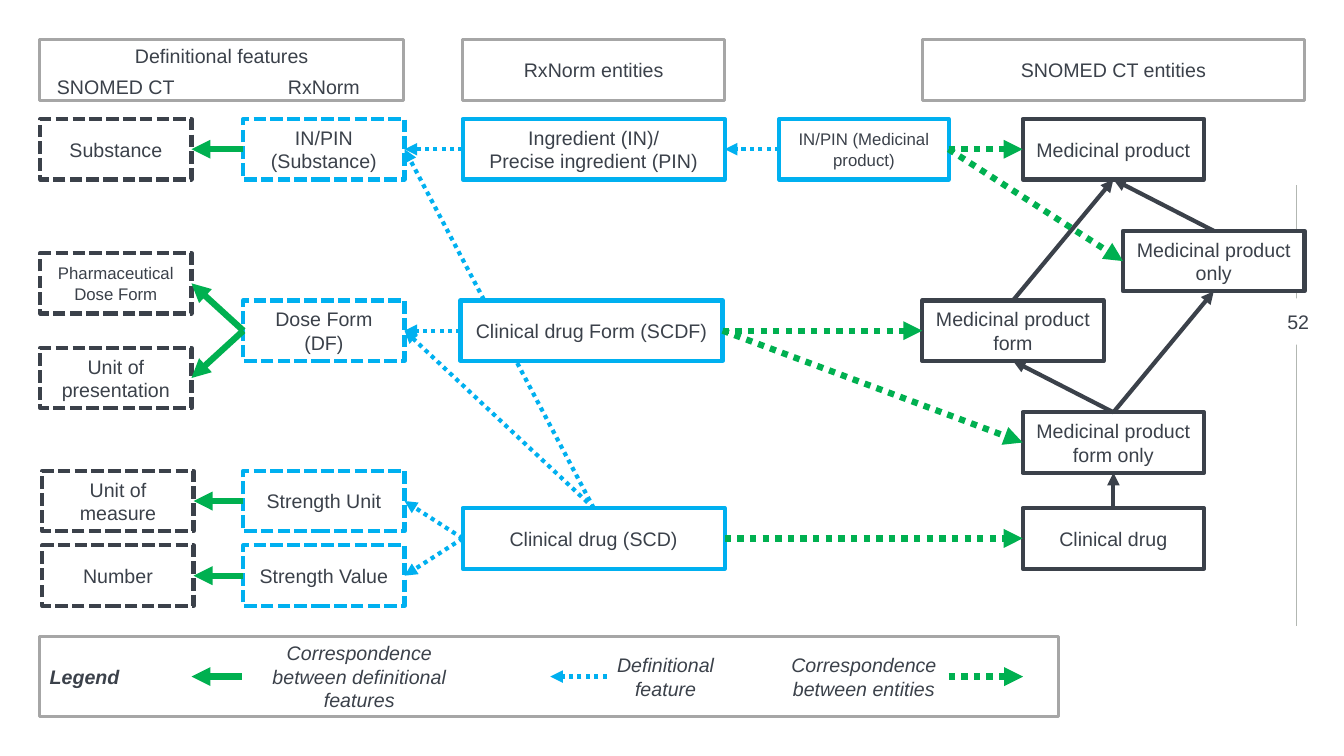
from pptx import Presentation
from pptx.dml.color import RGBColor
from pptx.enum import dml, shapes, text
from pptx.oxml.ns import qn
from pptx.util import Pt
from lxml import etree

HUES = {"ink": "3B414A", "blue": "00B0F0", "green": "00B050",
        "gray": "A6A6A6", "rule": "B2B7B2", "white": "FFFFFF"}
DASH = dml.MSO_LINE.SQUARE_DOT
DOT = dml.MSO_LINE.ROUND_DOT
TOP, LEFT, BASE, RIGHT = range(4)
TALL = 43.2
ROWS = {"first": 56.9, "form": 186.5, "drug": 334.9}


def rgb(name):
    """Return the named colour."""
    return RGBColor.from_string(HUES[name])


def box(slide, words, left, top, wide, tall=TALL, hue=None, dash=None, thick=3,
        size=14, bold=False, slant=False, fill="white",
        align=text.PP_ALIGN.CENTER, anchor=text.MSO_ANCHOR.MIDDLE):
    """Draw a rectangle holding one paragraph per line of words."""
    shape = slide.shapes.add_shape(shapes.MSO_SHAPE.RECTANGLE,
                                   Pt(left), Pt(top), Pt(wide), Pt(tall))
    shape.shadow.inherit = False
    if fill:
        shape.fill.solid()
        shape.fill.fore_color.rgb = rgb(fill)
    else:
        shape.fill.background()
    if hue:
        shape.line.color.rgb = rgb(hue)
        shape.line.width = Pt(thick)
        shape.line.dash_style = dash
    else:
        shape.line.fill.background()
    frame = shape.text_frame
    frame.word_wrap = True
    frame.vertical_anchor = anchor
    for index, line in enumerate(words.split("\n")):
        para = frame.add_paragraph() if index else frame.paragraphs[0]
        para.alignment = align
        run = para.add_run()
        run.text = line
        font = run.font
        font.name, font.size = "Arial", Pt(size)
        font.bold, font.italic = bold, slant
        font.color.rgb = rgb("ink")
    return shape


def stroke(slide, hue, thick, dash=None, ends=(0, 0, 0, 0), head=True):
    """Draw a straight line, with an arrowhead if asked."""
    line = slide.shapes.add_connector(shapes.MSO_CONNECTOR.STRAIGHT,
                                      *[Pt(end) for end in ends])
    line.line.color.rgb = rgb(hue)
    line.line.width = Pt(thick)
    line.line.dash_style = dash
    if head:
        tip = etree.SubElement(line.line._get_or_add_ln(), qn("a:tailEnd"))
        tip.set("type", "triangle")
    etree.SubElement(line._element.spPr, qn("a:effectLst"))
    return line


def link(slide, start, out, end, into, *style):
    """Join a side of one box to a side of another."""
    line = stroke(slide, *style)
    line.begin_connect(start, out)
    line.end_connect(end, into)


def margin(slide, left, top):
    """Draw the side rule and the slide number on it."""
    stroke(slide, "rule", 0.25, None, (left, top, left, top + 314.6), False)
    box(slide, "52", left - 15.1, top + 80.6, 33.1, 33.1)


def features(slide, left, top):
    """Draw the definitional features and return the RxNorm ones."""
    near, far = left + 0.4, left + 145.4
    box(slide, "Definitional features", left, top, 260, 43.9, "gray", thick=2,
        anchor=text.MSO_ANCHOR.TOP)
    for words, side, wide in (("SNOMED CT", near, 108), ("RxNorm", far, 115.2)):
        box(slide, words, side, top + 23, wide, 20.9, fill=None)
    made = {}
    for name, words, drop in (
            ("first", "IN/PIN (Substance)", ROWS["first"]),
            ("form", "Dose Form (DF)", ROWS["form"]),
            ("unit", "Strength Unit", 308.2),
            ("value", "Strength Value", 361.5)):
        made[name] = box(slide, words, far, top + drop, 115.2, TALL, "blue", DASH)
    for name, words, drop, shift, size in (
            ("first", "Substance", ROWS["first"], 0, 14),
            ("form", "Pharmaceutical\nDose Form", 152.7, 0, 12),
            ("form", "Unit of\npresentation", 220.3, 0, 14),
            ("unit", "Unit of\nmeasure", 308.2, 1.5, 14),
            ("value", "Number", 361.5, 1.5, 14)):
        mate = box(slide, words, near + shift, top + drop, 108, TALL, "ink", DASH,
                   size=size)
        link(slide, made[name], LEFT, mate, RIGHT, "green", 4.5)
    return made


def rxnorm(slide, left, top, feats):
    """Draw the RxNorm entities and their links to features."""
    style = "blue", 3, DOT
    box(slide, "RxNorm entities", left, top, 187.2, 43.9, "gray", thick=2)
    drug = box(slide, "Clinical drug (SCD)", left, top + ROWS["drug"], 187.2,
               hue="blue")
    for side, name in ((TOP, "first"), (TOP, "form"),
                       (LEFT, "unit"), (LEFT, "value")):
        link(slide, drug, side, feats[name], RIGHT, *style)
    form = box(slide, "Clinical drug Form (SCDF)", left - 1.5, top + ROWS["form"],
               187.2, hue="blue")
    first = box(slide, "Ingredient (IN)/\nPrecise ingredient (PIN)", left,
                top + ROWS["first"], 187.2, hue="blue")
    item = box(slide, "IN/PIN (Medicinal product)", left + 226.1,
               top + ROWS["first"], 121, hue="blue", size=12)
    link(slide, form, LEFT, feats["form"], RIGHT, *style)
    link(slide, first, LEFT, feats["first"], RIGHT, *style)
    link(slide, item, LEFT, first, RIGHT, *style)
    return {"drug": drug, "form": form, "item": item}


def snomed(slide, left, top, drugs):
    """Draw the SNOMED CT entities and their links."""
    box(slide, "SNOMED CT entities", left, top, 273, 43.9, "gray", thick=2)
    made = {}
    for name, words, step, drop in (
            ("base", "Medicinal product", 1, ROWS["first"]),
            ("only", "Medicinal product only", 2, 136.8),
            ("form", "Medicinal product\nform", 0, ROWS["form"]),
            ("sole", "Medicinal product form only", 1, 266.4),
            ("drug", "Clinical drug", 1, ROWS["drug"])):
        made[name] = box(slide, words, left + 71.7 * step, top + drop, 129.6,
                         hue="ink")
    for start, end in (("only", "base"), ("form", "base"), ("sole", "form"),
                       ("sole", "only"), ("drug", "sole")):
        link(slide, made[start], TOP, made[end], BASE, "ink", 3)
    for start, end in (("item", "base"), ("item", "only"), ("form", "form"),
                       ("form", "sole"), ("drug", "drug")):
        link(slide, drugs[start], RIGHT, made[end], LEFT, "green", 4.5, DOT)


def legend(slide, left, top):
    """Draw the key to the three kinds of arrow."""
    box(slide, "Legend", left, top, 728, 57.6, "gray", thick=2, bold=True,
        slant=True, align=text.PP_ALIGN.LEFT)
    for words, shift, wide in (
            ("Correspondence between definitional features", 144.4, 167.8),
            ("Definitional feature", 405, 84.2),
            ("Correspondence between entities", 528.2, 121)):
        box(slide, words, left + shift, top + 7.2, wide, slant=True)
    mid = top + 28.8
    for start, end, *style in ((144.4, 108.4, "green", 4.5),
                               (405, 364.7, "blue", 3, DOT),
                               (649.2, 702.4, "green", 4.5, DOT)):
        stroke(slide, *style, ends=(left + start, mid, left + end, mid))


def main():
    """Build and save the slide."""
    deck = Presentation()
    deck.slide_width, deck.slide_height = Pt(960), Pt(540)
    slide = deck.slides.add_slide(deck.slide_layouts[6])
    margin(slide, 925.9, 132.5)
    feats = features(slide, 28.4, 28.1)
    drugs = rxnorm(slide, 330.5, 28.1, feats)
    snomed(slide, 658.8, 28.1, drugs)
    legend(slide, 28.4, 454.5)
    deck.save("out.pptx")


if __name__ == "__main__":
    main()
